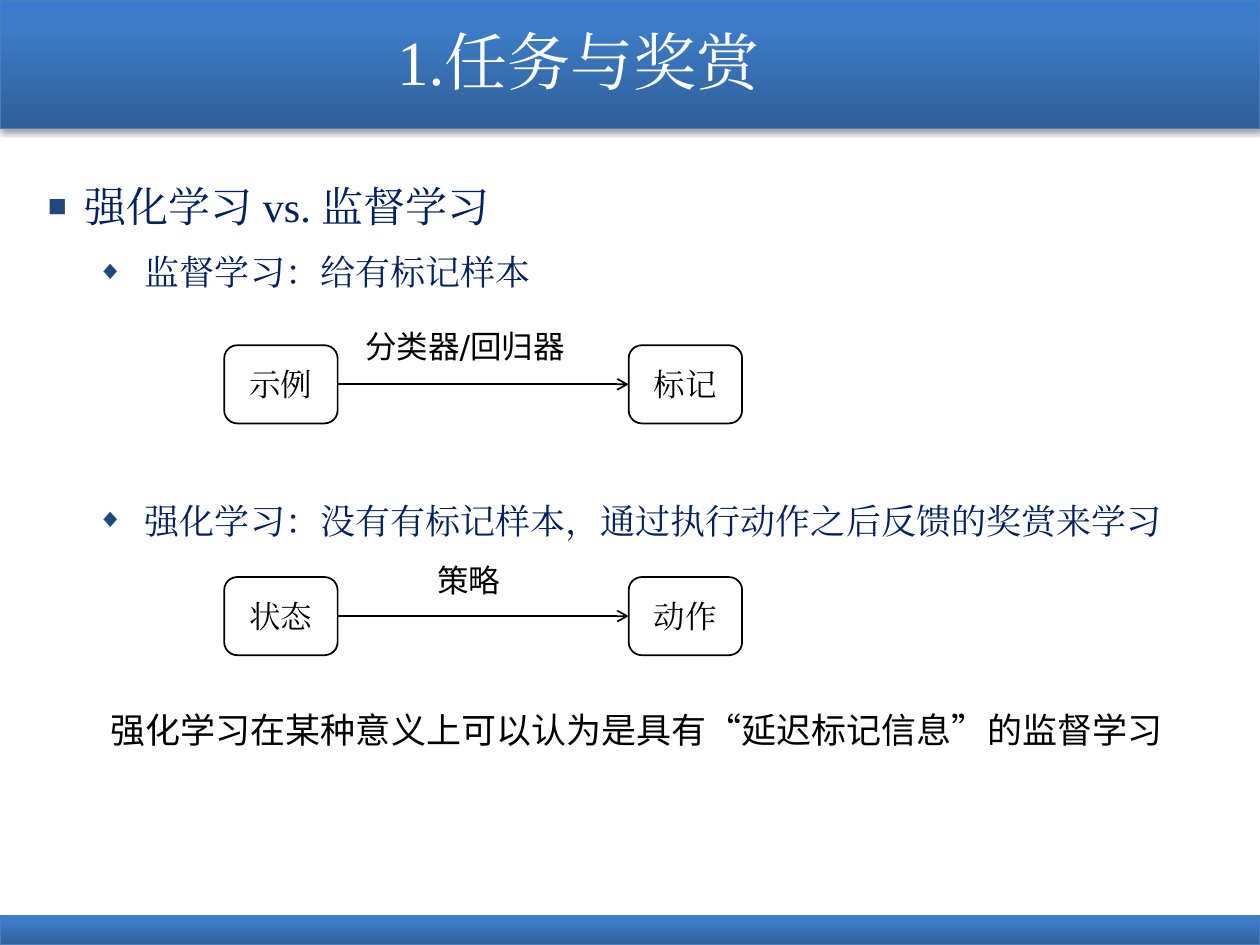
from pptx import Presentation
from pptx.dml.color import RGBColor
from pptx.enum.shapes import MSO_CONNECTOR, MSO_SHAPE
from pptx.enum.text import MSO_ANCHOR, MSO_AUTO_SIZE, PP_ALIGN
from pptx.oxml import parse_xml
from pptx.oxml.ns import nsdecls
from pptx.util import Inches, Pt
from lxml.etree import SubElement

THEME = {
    "white": "FFFFFF", "black": "000000", "navy": "002060",
    "mark": "1F497D", "edge": "4B7EBC",
    "bar": [(0, "2F5F99"), (80, "3D7CC7"), (100, "3A7CCB")],
    "serif": "Times New Roman", "sans": "DejaVu Sans", "cjk": "Noto Sans CJK SC",
    "title": 36, "head": 24, "item": 20, "label": 18,
}
NS = nsdecls("a")

deck = Presentation()
deck.slide_width, deck.slide_height = Inches(10), Inches(7.5)
COL, ROW = deck.slide_width / 100, deck.slide_height / 75
slide = deck.slides.add_slide(deck.slide_layouts[1])
shapes = slide.shapes


def grid(x, y, w, h):
    return [round(n) for n in (x * COL, y * ROW, w * COL, h * ROW)]


def write(para, text, size, color, face="serif"):
    run = para.add_run()
    run.text = text
    font = run.font
    font.size = Pt(THEME[size])
    font.color.rgb = RGBColor.from_string(THEME[color])
    font.name = THEME[face]
    SubElement(font._element, "{%s}ea" % font._element.nsmap["a"], typeface=THEME[face])


# Header and footer bars, behind the text
stops = "".join(f'<a:gs pos="{pos * 1000}"><a:srgbClr val="{tint}"/></a:gs>'
                for pos, tint in THEME["bar"])
for i, (top, high) in enumerate([(0, 10.2), (72.7, 2.3)]):
    bar = shapes.add_shape(MSO_SHAPE.RECTANGLE, *grid(0, top, 100, high))
    bar.line.color.rgb = RGBColor.from_string(THEME["edge"])
    bar.line.width = Pt(0.75)
    props = bar._element.spPr
    props.insert(2, parse_xml(
        f'<a:gradFill {NS} rotWithShape="1"><a:gsLst>{stops}</a:gsLst>'
        '<a:lin ang="16200000" scaled="0"/></a:gradFill>'))
    props.append(parse_xml(
        f'<a:effectLst {NS}><a:outerShdw blurRad="{Pt(3.1)}" dist="{Pt(1.8)}" '
        'dir="5400000" rotWithShape="0"><a:srgbClr val="000000">'
        '<a:alpha val="35000"/></a:srgbClr></a:outerShdw></a:effectLst>'))
    shapes._spTree.insert(2 + i, bar._element)

# Title
title = shapes.title
title.left, title.top, title.width, title.height = grid(2.8, 0.5, 86.2, 8.5)
title.text_frame.vertical_anchor = MSO_ANCHOR.MIDDLE
para = title.text_frame.paragraphs[0]
para.alignment = PP_ALIGN.CENTER
write(para, "1.任务与奖赏", "title", "white")

# Bullet list: the last item leaves room for the first diagram
body = slide.placeholders[1]
body.left, body.top, body.width, body.height = grid(2.8, 12.6, 95.7, 55.2)
frame = body.text_frame
frame.auto_size = MSO_AUTO_SIZE.NONE
items = [
    (0, "强化学习 vs. 监督学习", "head", "■", 0.29, 0.29, 0),
    (1, "监督学习：给有标记样本", "item", "◆", 0.77, 0.38, 4),
    (1, "强化学习：没有有标记样本，通过执行动作之后反馈的奖赏来学习", "item", "◆", 0.77, 0.38, 111),
]
for i, (level, text, size, sign, left, hang, gap) in enumerate(items):
    para = frame.add_paragraph() if i else frame.paragraphs[0]
    para.level = level
    para.line_spacing = 1.3
    para.space_before = Pt(gap)
    props = para._p.get_or_add_pPr()
    props.set("marL", str(Inches(left)))
    props.set("indent", str(-Inches(hang)))
    for mark in (f'<a:buClr {NS}><a:srgbClr val="{THEME["mark"]}"/></a:buClr>',
                 f'<a:buSzPct {NS} val="75000"/>',
                 f'<a:buChar {NS} char="{sign}"/>'):
        props.append(parse_xml(mark))
    write(para, text, size, "navy")

# Two diagrams: box, arrow, box, and a label above the arrow
black = RGBColor.from_string(THEME["black"])
flows = [(27.4, "示例", "标记", "分类器/回归器", 28, 25.5),
         (45.8, "状态", "动作", "策略", 33.7, 44)]
for top, start, end, text, left, high in flows:
    for x, name in ((17.8, start), (49.9, end)):
        node = shapes.add_shape(MSO_SHAPE.ROUNDED_RECTANGLE, *grid(x, top, 9, 6.2))
        node.shadow.inherit = False
        node.fill.background()
        node.line.color.rgb = black
        node.line.width = Pt(1)
        node.text_frame.vertical_anchor = MSO_ANCHOR.MIDDLE
        para = node.text_frame.paragraphs[0]
        para.alignment = PP_ALIGN.CENTER
        write(para, name, "label", "black")
    x, y, far, same = grid(26.75, top + 3.1, 49.9, top + 3.1)
    arrow = shapes.add_connector(MSO_CONNECTOR.STRAIGHT, x, y, far, same)
    arrow.line.color.rgb = black
    arrow.line.width = Pt(1)
    arrow.line._get_or_add_ln().append(parse_xml(f'<a:tailEnd {NS} type="arrow"/>'))
    arrow._element.spPr.append(parse_xml(f"<a:effectLst {NS}/>"))
    label = shapes.add_textbox(*grid(left, high, 27.2, 4))
    label.text_frame.word_wrap = True
    write(label.text_frame.paragraphs[0], text, "label", "black", "sans")

# Closing remark
note = shapes.add_shape(MSO_SHAPE.RECTANGLE, *grid(2.8, 55.7, 92.4, 4.4))
note.shadow.inherit = False
note.fill.solid()
note.fill.fore_color.rgb = RGBColor.from_string(THEME["white"])
note.line.fill.background()
note.text_frame.word_wrap = True
note.text_frame.vertical_anchor = MSO_ANCHOR.TOP
para = note.text_frame.paragraphs[0]
para.level = 1
para.alignment = PP_ALIGN.LEFT
para._p.get_or_add_pPr().set("marL", str(Inches(0.5)))
write(para, "强化学习在某种意义上可以认为是具有“延迟标记信息”的监督学习", "item", "black", "cjk")

deck.save("out.pptx")
